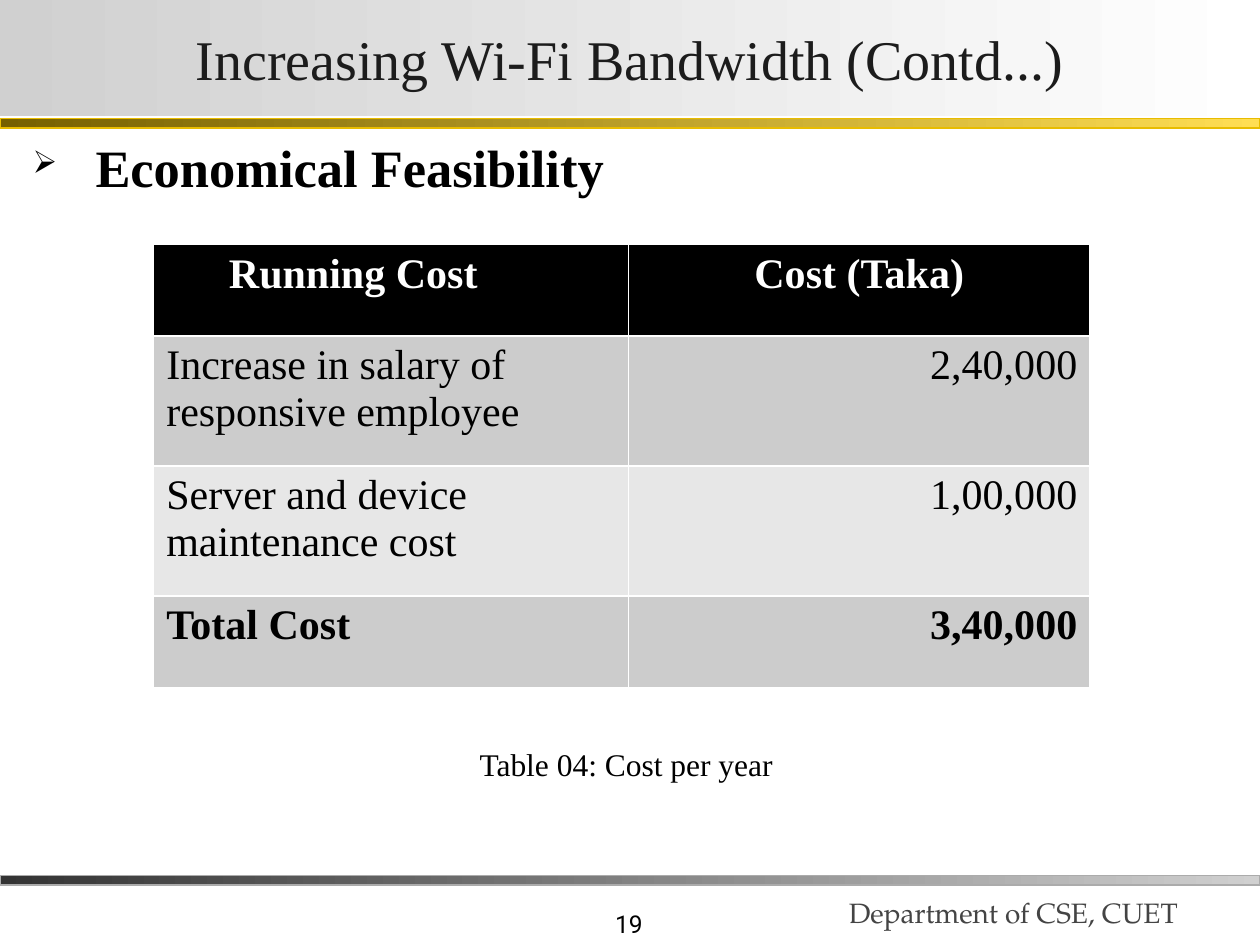
from lxml import etree
from pptx import Presentation
from pptx import util as u
from pptx.dml.color import RGBColor
from pptx.enum import shapes, text
from pptx.oxml.ns import qn

COLORS = {
    "black": "000000", "white": "FFFFFF", "title": "1C1C1C", "footer": "444444",
    "silver": "D0D0D0", "charcoal": "333333", "gray line": "ABABAB",
    "dark gold": "766000", "gold": "FFDE53", "gold line": "E8BC00",
    "band dark": "CCCCCC", "band light": "E7E7E7",
}
SERIF = "Times New Roman"
LEFT, CENTER, RIGHT = text.PP_ALIGN.LEFT, text.PP_ALIGN.CENTER, text.PP_ALIGN.RIGHT
MIDDLE, BOTTOM = text.MSO_ANCHOR.MIDDLE, text.MSO_ANCHOR.BOTTOM


def color(name):
    return RGBColor.from_string(COLORS[name])


class SlideBuilder:
    """Holds the text style and the current slide; all lengths are points."""

    def __init__(self, slide):
        self.slide = slide
        self.style = {"name": SERIF, "size": 24, "bold": False, "color": "black"}

    def fill_text(self, frame, words, align=LEFT, **changes):
        values = {**self.style, **changes}
        para = frame.paragraphs[0]
        para.alignment = align
        span = para.add_run()
        span.text = words
        span.font.color.rgb = color(values.pop("color"))
        values["size"] = u.Pt(values["size"])
        for key, value in values.items():
            setattr(span.font, key, value)
        return para

    def text_box(self, place, words, align=LEFT, anchor=text.MSO_ANCHOR.TOP, **changes):
        box = self.slide.shapes.add_textbox(*map(u.Pt, place))
        frame = box.text_frame
        frame.word_wrap = True
        frame.vertical_anchor = anchor
        return self.fill_text(frame, words, align, **changes)

    def bullet(self, para, mark, indent, percent):
        props = para._p.get_or_add_pPr()
        props.set("marL", str(u.Pt(indent)))
        props.set("indent", str(-u.Pt(indent)))
        etree.SubElement(props, qn("a:buSzPct"), val=str(percent * 1000))
        etree.SubElement(props, qn("a:buChar"), char=mark)

    def bar(self, place, start, end, line=None):
        bar = self.slide.shapes.add_shape(shapes.MSO_SHAPE.RECTANGLE, *map(u.Pt, place))
        bar.shadow.inherit = False
        bar.fill.gradient()
        bar.fill.gradient_angle = 0
        for stop, name in zip(bar.fill.gradient_stops, (start, end)):
            stop.color.rgb = color(name)
        if line:
            bar.line.color.rgb = color(line)
            bar.line.width = u.Pt(0.75)
        else:
            bar.line.fill.background()
        return bar

    def border(self, cell, name, width):
        props = cell._tc.get_or_add_tcPr()
        for position, side in enumerate(("lnL", "lnR", "lnT", "lnB")):
            line = etree.Element(qn(f"a:{side}"), w=str(u.Pt(width)))
            fill = etree.SubElement(line, qn("a:solidFill"))
            etree.SubElement(fill, qn("a:srgbClr"), val=COLORS[name])
            props.insert(position, line)

    def table(self, left, top, widths, heights, rows, fills):
        place = (left, top, sum(widths), sum(heights))
        table = self.slide.shapes.add_table(
            len(rows), len(widths), *map(u.Pt, place)).table
        for column, width in zip(table.columns, widths):
            column.width = u.Pt(width)
        for row, height in zip(table.rows, heights):
            row.height = u.Pt(height)
        last = len(rows) - 1
        for i, values in enumerate(rows):
            for j, words in enumerate(values):
                cell = table.cell(i, j)
                cell.fill.solid()
                cell.fill.fore_color.rgb = color(fills[i])
                self.border(cell, "white", 1)
                align = LEFT if j == 0 else RIGHT if i else CENTER
                self.fill_text(cell.text_frame, words, align, bold=i in (0, last),
                               color="black" if i else "white")
        return table


def main():
    deck = Presentation()
    deck.slide_width, deck.slide_height = u.Pt(720), u.Pt(540)
    page = SlideBuilder(deck.slides.add_slide(deck.slide_layouts[6]))

    # Footer
    page.text_box((224.64, 504, 149.76, 36), "19", RIGHT, BOTTOM, name="Roboto", size=14)
    page.text_box((478, 489.6, 247.7, 44.64), "Department of CSE, CUET", anchor=BOTTOM,
                  name="TeX Gyre Pagella", size=16, color="footer")
    page.bar((0, 500.4, 720, 5.4), "charcoal", "silver", "gray line")

    # Title band
    page.bar((0, 67.7, 720, 5.4), "dark gold", "gold", "gold line")
    title = page.bar((0, 0, 720, 66.24), "silver", "white")
    title.text_frame.vertical_anchor = MIDDLE
    page.fill_text(title.text_frame, "Increasing Wi-Fi Bandwidth (Contd...)", CENTER,
                   size=32, color="title")

    # Heading
    heading = page.text_box((11.5, 73.4, 680.4, 48), "Economical Feasibility",
                            size=30, bold=True)
    heading.space_before = u.Pt(3.6)
    page.bullet(heading, "➢", 36, 60)

    # Cost table with its caption
    rows = [
        ("Running Cost", "Cost (Taka)"),
        ("Increase in salary of responsive employee", "2,40,000"),
        ("Server and device maintenance cost", "1,00,000"),
        ("Total Cost", "3,40,000"),
    ]
    costs = page.table(87.84, 139.7, (271.4, 263.5), (52.4, 74.3, 74.3, 52.4), rows,
                       ("black", "band dark", "band light", "band dark"))
    costs.cell(0, 0).margin_left = u.Pt(43)
    page.text_box((23.76, 422, 668.2, 30), "Table 04: Cost per year", CENTER, size=18)

    deck.save("out.pptx")


if __name__ == "__main__":
    main()
